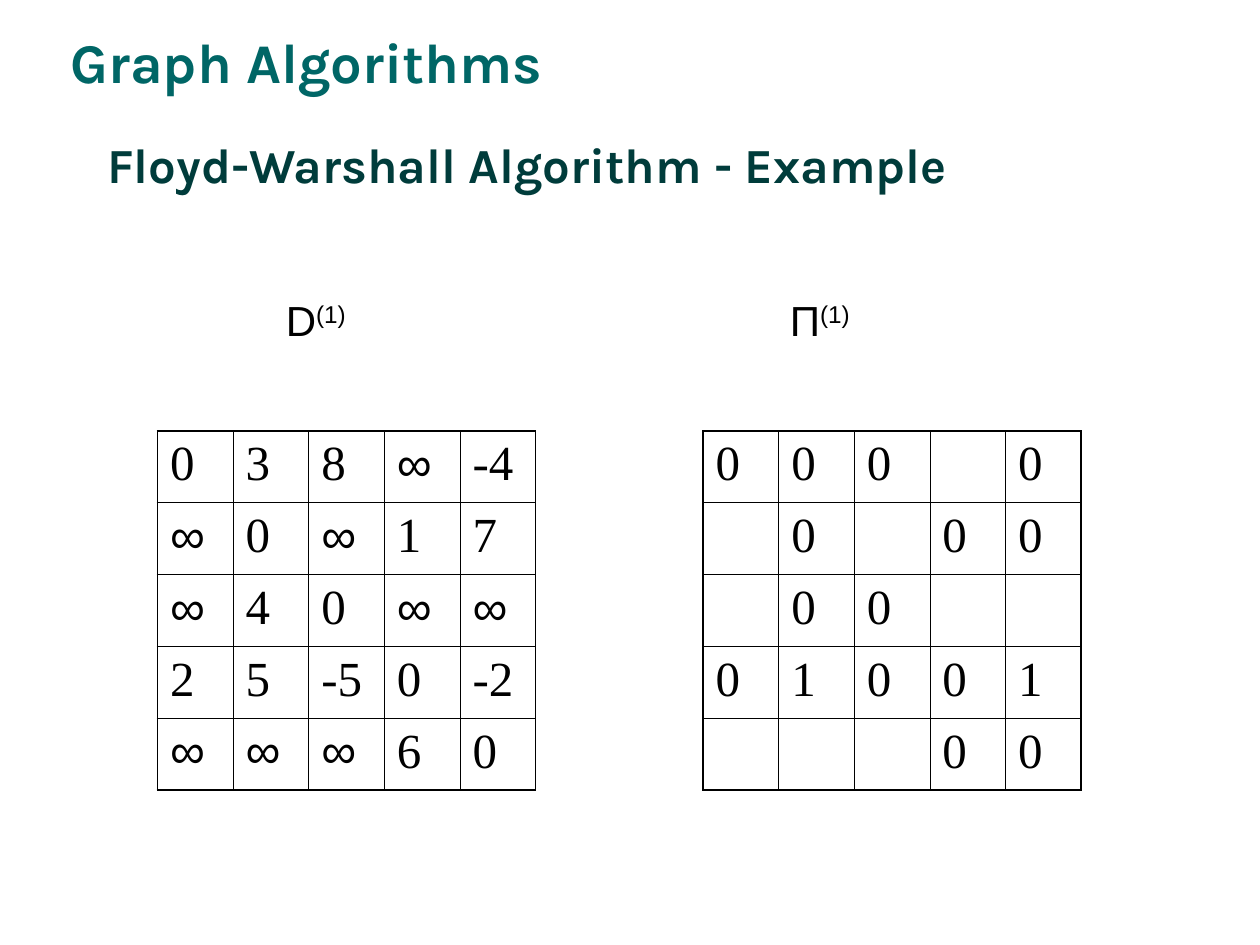
from dataclasses import dataclass

import pptx
import pptx.dml.color
import pptx.enum.text
import pptx.oxml
import pptx.oxml.ns
import pptx.util


@dataclass(frozen=True)
class Theme:
    teal: str = "006666"
    deep: str = "003C3B"
    ink: str = "000000"
    head: str = "Karla"
    sans: str = "Arial"
    serif: str = "Times New Roman"
    top: float = 32
    title: float = 28
    cell: float = 28
    label: float = 24
    thin: float = 0.45
    thick: float = 1.08


@dataclass(frozen=True)
class Box:
    """Left, top, width and height as shares of the slide."""
    left: float
    top: float
    width: float
    height: float


@dataclass(frozen=True)
class Matrix:
    left: float
    rows: tuple


THEME = Theme()
WIDE = pptx.util.Inches(10)
HIGH = pptx.util.Inches(7.5)
COL, ROW, TOP = 0.06, 0.076, 0.456

# Matrices: cells parted by spaces, "." for an empty cell
MATRICES = (
    Matrix(0.125, ("0 3 8 ∞ -4", "∞ 0 ∞ 1 7", "∞ 4 0 ∞ ∞",
                   "2 5 -5 0 -2", "∞ ∞ ∞ 6 0")),
    Matrix(0.558, ("0 0 0 . 0", ". 0 . 0 0", ". 0 0 . .",
                   "0 1 0 0 1", ". . . 0 0")),
)


def place(box: Box) -> tuple:
    return (round(box.left * WIDE), round(box.top * HIGH),
            round(box.width * WIDE), round(box.height * HIGH))


def write(para, text: str, face: str, size: float, tint: str,
          bold: bool = False, lift: int = 0) -> None:
    run = para.add_run()
    run.text = text
    run.font.name = face
    run.font.size = pptx.util.Pt(size)
    run.font.bold = bold
    run.font.color.rgb = pptx.dml.color.RGBColor.from_string(tint)
    if lift:
        run._r.get_or_add_rPr().set("baseline", str(lift * 1000))


def text_box(slide, box: Box):
    frame = slide.shapes.add_textbox(*place(box)).text_frame
    frame.word_wrap = True
    return frame.paragraphs[0]


def add_stops(para, stops: tuple) -> None:
    tabs = pptx.oxml.parse_xml(f'<a:tabLst {pptx.oxml.ns.nsdecls("a")}/>')
    for stop in stops:
        tab = pptx.oxml.parse_xml(f'<a:tab {pptx.oxml.ns.nsdecls("a")}/>')
        tab.set("pos", str(pptx.util.Inches(stop)))
        tab.set("algn", "l")
        tabs.append(tab)
    para._p.get_or_add_pPr().append(tabs)


def add_edge(cell, side: str, width: float) -> None:
    cell._tc.get_or_add_tcPr().append(pptx.oxml.parse_xml(
        f'<a:ln{side} {pptx.oxml.ns.nsdecls("a")} w="{pptx.util.Pt(width)}">'
        f'<a:solidFill><a:srgbClr val="{THEME.ink}"/></a:solidFill>'
        f'</a:ln{side}>'))


def draw_matrix(slide, matrix: Matrix) -> None:
    rows = [row.split() for row in matrix.rows]
    size = len(rows)
    box = Box(matrix.left, TOP, COL * size, ROW * size)
    table = slide.shapes.add_table(size, size, *place(box)).table
    table.first_row = table.horz_banding = False
    last = size - 1
    for r, row in enumerate(rows):
        for c, value in enumerate(row):
            cell = table.cell(r, c)
            # Thick outer frame, thin inner rules
            outer = {"L": c == 0, "R": c == last, "T": r == 0, "B": r == last}
            for side, edge in outer.items():
                add_edge(cell, side, THEME.thick if edge else THEME.thin)
            cell.fill.background()
            if value != ".":
                face = THEME.sans if value == "∞" else THEME.serif
                write(cell.text_frame.paragraphs[0], value, face,
                      THEME.cell, THEME.ink)


def main() -> None:
    deck = pptx.Presentation()
    deck.slide_width, deck.slide_height = WIDE, HIGH
    slide = deck.slides.add_slide(deck.slide_layouts[5])

    # Topic and title
    topic = text_box(slide, Box(0.046, 0.023, 0.416, 0.085))
    write(topic, "Graph Algorithms", THEME.head, THEME.top, THEME.teal, True)
    title = slide.shapes.title
    spot = Box(0.075, 0.09, 0.925, 0.166)
    title.left, title.top, title.width, title.height = place(spot)
    frame = title.text_frame
    frame.auto_size = pptx.enum.text.MSO_AUTO_SIZE.NONE
    frame.vertical_anchor = pptx.enum.text.MSO_ANCHOR.MIDDLE
    para = frame.paragraphs[0]
    para.alignment = pptx.enum.text.PP_ALIGN.LEFT
    write(para, "Floyd-Warshall Algorithm - Example", THEME.head,
          THEME.title, THEME.deep, True)

    # Matrices and their labels
    for matrix in MATRICES:
        draw_matrix(slide, matrix)
    label = text_box(slide, Box(0.117, 0.305, 0.57, 0.067))
    add_stops(label, (1, 5))
    for name in ("D", "Π"):
        write(label, "\t" + name, THEME.sans, THEME.label, THEME.ink)
        write(label, "(1)", THEME.sans, THEME.label, THEME.ink, lift=30)

    deck.save("out.pptx")


if __name__ == "__main__":
    main()
